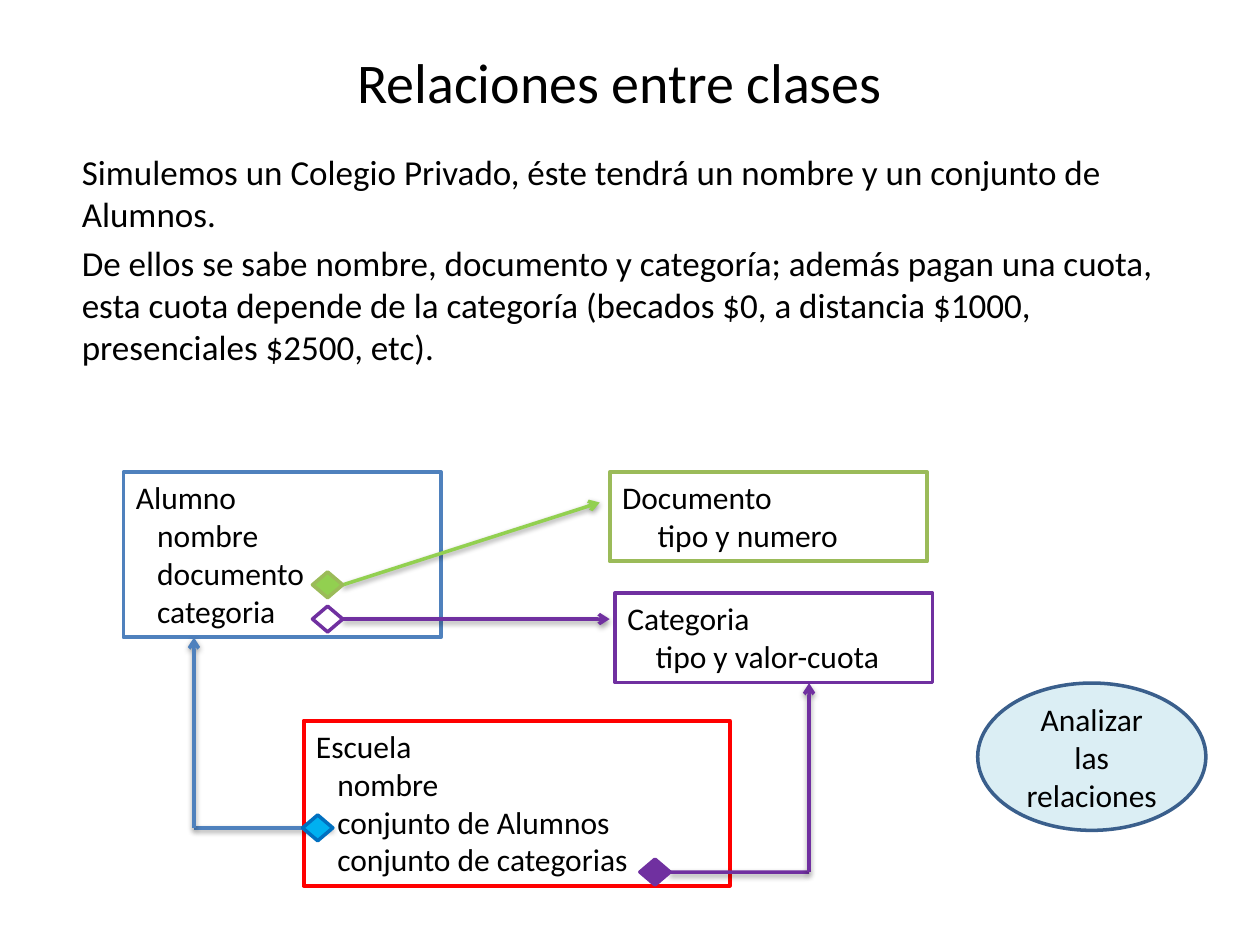
from lxml import etree
from pptx import Presentation
from pptx.dml.color import RGBColor
from pptx.enum.shapes import MSO_CONNECTOR, MSO_SHAPE
from pptx.enum.text import MSO_ANCHOR, PP_ALIGN
from pptx.oxml import parse_xml
from pptx.oxml.ns import nsdecls, qn
from pptx.util import Cm, Pt

STRAIGHT = MSO_CONNECTOR.STRAIGHT
RECTANGLE, OVAL, DIAMOND = MSO_SHAPE.RECTANGLE, MSO_SHAPE.OVAL, MSO_SHAPE.DIAMOND
TOP, MIDDLE = MSO_ANCHOR.TOP, MSO_ANCHOR.MIDDLE
LEFT, CENTER = PP_ALIGN.LEFT, PP_ALIGN.CENTER
RIGHT_CORNER = 3

BLACK = RGBColor(0x00, 0x00, 0x00)
BLUE = RGBColor(0x4F, 0x81, 0xBD)
OLIVE = RGBColor(0x9B, 0xBB, 0x59)
GREEN = RGBColor(0x92, 0xD0, 0x50)
PURPLE = RGBColor(0x70, 0x30, 0xA0)
RED = RGBColor(0xFF, 0x00, 0x00)
SKY = RGBColor(0x00, 0xB0, 0xF0)
DEEP_BLUE = RGBColor(0x00, 0x70, 0xC0)
PALE_BLUE = RGBColor(0xDB, 0xEE, 0xF4)
NAVY = RGBColor(0x3A, 0x5F, 0x8C)

LINE_SHADOW = (
    f'<a:effectLst {nsdecls("a")}><a:outerShdw blurRad="40000" dist="20000" '
    'dir="5400000" rotWithShape="0"><a:srgbClr val="000000">'
    '<a:alpha val="38000"/></a:srgbClr></a:outerShdw></a:effectLst>'
)


def write(shape, lines, size, align=LEFT, anchor=TOP, gap=0, indent=0):
    """Fill a shape with paragraphs; gap and indent apply after the first one."""
    frame = shape.text_frame
    frame.word_wrap = True
    frame.vertical_anchor = anchor
    for index, line in enumerate(lines):
        paragraph = frame.paragraphs[0] if index == 0 else frame.add_paragraph()
        paragraph.text = line
        paragraph.alignment = align
        if index and gap:
            paragraph.space_before = Pt(gap)
        if index and indent:
            paragraph._p.get_or_add_pPr().set("marL", str(Cm(indent)))
        for name, value in {"name": "Calibri", "size": Pt(size)}.items():
            setattr(paragraph.font, name, value)
        paragraph.font.color.rgb = BLACK


def add_outlined(kind, box, outline, width, fill=None):
    shape = slide.shapes.add_shape(kind, *map(Cm, box))
    shape.shadow.inherit = False
    shape.line.color.rgb = outline
    shape.line.width = Pt(width)
    if fill is None:
        shape.fill.background()
    else:
        shape.fill.solid()
        shape.fill.fore_color.rgb = fill
    return shape


prs = Presentation()
prs.slide_width, prs.slide_height = Cm(25.4), Cm(19.05)
slide = prs.slides.add_slide(prs.slide_layouts[6])

title = slide.shapes.add_textbox(Cm(1.7), Cm(0.53), Cm(21.59), Cm(2.21))
write(title, ["Relaciones entre clases"], 32, CENTER, MIDDLE)

statement = slide.shapes.add_textbox(Cm(1.4), Cm(2.77), Cm(22.61), Cm(5.21))
statement.text_frame.margin_top = Cm(0.27)
write(statement, [
    "Simulemos un Colegio Privado, éste tendrá un nombre y un conjunto de Alumnos.",
    "De ellos se sabe nombre, documento y categoría; además pagan una cuota, "
    "esta cuota depende de la categoría (becados $0, a distancia $1000, "
    "presenciales $2500, etc).",
], 20, gap=4)

# Class boxes: position and size, outline, member indent, name and members
classes = [
    ((2.49, 9.52, 6.4, 3.33), BLUE, 0.43,
     ["Alumno", "nombre", "documento", "categoria"]),
    ((12.29, 9.52, 6.4, 1.8), OLIVE, 0.72, ["Documento", "tipo y numero"]),
    ((12.4, 11.96, 6.4, 1.8), PURPLE, 0.57, ["Categoria", "tipo y valor-cuota"]),
    ((6.12, 14.53, 8.59, 3.33), RED, 0.43,
     ["Escuela", "nombre", "conjunto de Alumnos", "conjunto de categorias"]),
]
for box, outline, indent, lines in classes:
    class_box = add_outlined(RECTANGLE, box, outline, 2.25)
    write(class_box, lines, 18, indent=indent)

# Relations: diamond corner, diamond fill and outline, line colour, line stops
diamond_width, diamond_height = 0.61, 0.52
relations = [
    ((6.3, 11.53), GREEN, OLIVE, GREEN, [(12.09, 10.13)]),
    ((6.3, 12.22), None, PURPLE, PURPLE, [(12.29, 12.48)]),
    ((12.9, 17.32), PURPLE, PURPLE, PURPLE, [(16.31, 17.58), (16.31, 13.77)]),
    ((6.1, 16.43), SKY, DEEP_BLUE, BLUE, [(3.91, 16.69), (3.91, 12.85)]),
]
for (left, top), fill, outline, line_color, stops in relations:
    points = [(left + diamond_width, top + diamond_height / 2), *stops]
    segments = []
    for start, end in zip(points, points[1:]):
        segment = slide.shapes.add_connector(STRAIGHT, *map(Cm, start + end))
        segment.line.color.rgb = line_color
        segment.line.width = Pt(2)
        if end == points[-1]:
            etree.SubElement(segment.line._get_or_add_ln(), qn("a:tailEnd"), type="arrow")
        segment._element.spPr.append(parse_xml(LINE_SHADOW))
        segments.append(segment)
    diamond = add_outlined(
        DIAMOND, (left, top, diamond_width, diamond_height), outline, 2, fill)
    segments[0].begin_connect(diamond, RIGHT_CORNER)

task = add_outlined(OVAL, (19.71, 13.77, 4.6, 2.97), NAVY, 2, PALE_BLUE)
write(task, ["Analizar las relaciones"], 18, CENTER, MIDDLE)

prs.save("out.pptx")
